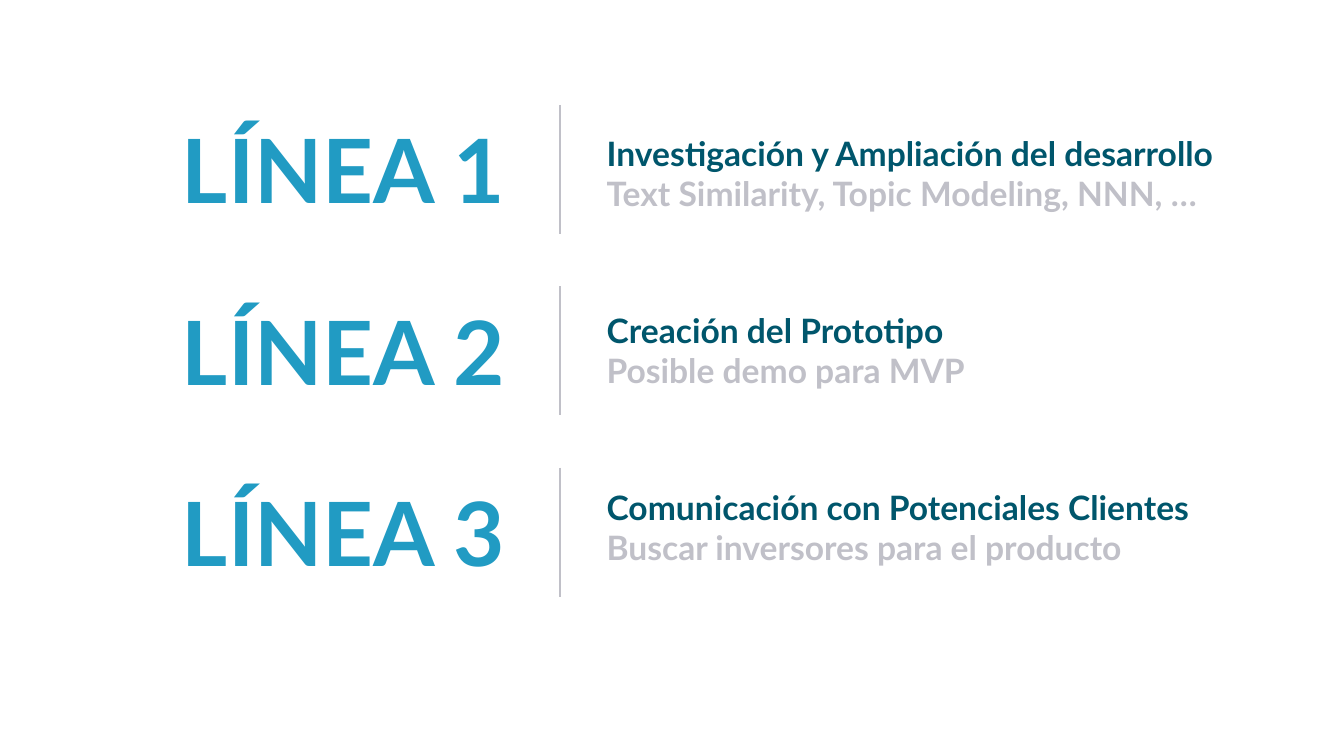
from lxml import etree
from pptx import Presentation
from pptx.dml.color import RGBColor
from pptx.enum.shapes import MSO_CONNECTOR
from pptx.enum.text import MSO_AUTO_SIZE
from pptx.oxml.ns import qn
from pptx.util import Cm, Pt

STRAIGHT = MSO_CONNECTOR.STRAIGHT
FIT_SHAPE = MSO_AUTO_SIZE.SHAPE_TO_FIT_TEXT
NO_FIT = MSO_AUTO_SIZE.NONE

BLUE = RGBColor(0x21, 0x9B, 0xC3)
TEAL = RGBColor(0x00, 0x56, 0x6C)
GREY = RGBColor(0xC0, 0xC0, 0xC8)
FONT = "Lato"

# Column positions and vertical steps, in centimetres
LABEL_X, RULE_X, DETAIL_X = 6.63, 21.18, 22.68
LABEL_Y, RULE_Y, DETAIL_Y = 4.22, 3.96, 4.9
ROW_STEP, DETAIL_STEP = 6.86, 6.69
RULE_H = 4.88

# Heading, detail, text box width, text box height, autofit
LINES = [
    ("Investigación y Ampliación del desarrollo",
     "Text Similarity, Topic Modeling, NNN, …", 27.53, 3.33, FIT_SHAPE),
    ("Creación del Prototipo",
     "Posible demo para MVP", 15.39, 3.33, NO_FIT),
    ("Comunicación con Potenciales Clientes",
     "Buscar inversores para el producto", 24.43, 3.66, NO_FIT),
]


def add_text(shapes, x, y, w, h, paragraphs, size, fit):
    """Add a bold text box; paragraphs are (text, colour) pairs."""
    tf = shapes.add_textbox(Cm(x), Cm(y), Cm(w), Cm(h)).text_frame
    tf.word_wrap = True
    tf.auto_size = fit
    for i, (text, color) in enumerate(paragraphs):
        p = tf.add_paragraph() if i else tf.paragraphs[0]
        r = p.add_run()
        r.text = text
        r.font.name = FONT
        r.font.size = Pt(size)
        r.font.bold = True
        r.font.color.rgb = color


def add_rule(shapes, x, y, h):
    """Add a thin vertical divider without shadow."""
    rule = shapes.add_connector(STRAIGHT, Cm(x), Cm(y), Cm(x), Cm(y + h))
    rule.line.color.rgb = GREY
    rule.line.width = Pt(2)
    etree.SubElement(rule._element.spPr, qn("a:effectLst"))


def add_row(s, i, heading, detail, w, h, fit):
    """Add one work line: description, divider and label, grouped."""
    shapes = s.shapes.add_group_shape().shapes
    add_text(shapes, DETAIL_X, DETAIL_Y + i * DETAIL_STEP, w, h,
             [(heading, TEAL), (detail, GREY)], 36, fit)
    add_rule(shapes, RULE_X, RULE_Y + i * ROW_STEP, RULE_H)
    add_text(shapes, LABEL_X, LABEL_Y + i * ROW_STEP, 14.55, 4.32,
             [(f"LÍNEA {i + 1}", BLUE)], 95, FIT_SHAPE)


def main():
    prs = Presentation()
    prs.slide_width, prs.slide_height = Cm(50.8), Cm(28.58)
    s = prs.slides.add_slide(prs.slide_layouts[6])  # blank: no title here

    # One row per work line
    for i, line in enumerate(LINES):
        add_row(s, i, *line)

    prs.save("out.pptx")


if __name__ == "__main__":
    main()
